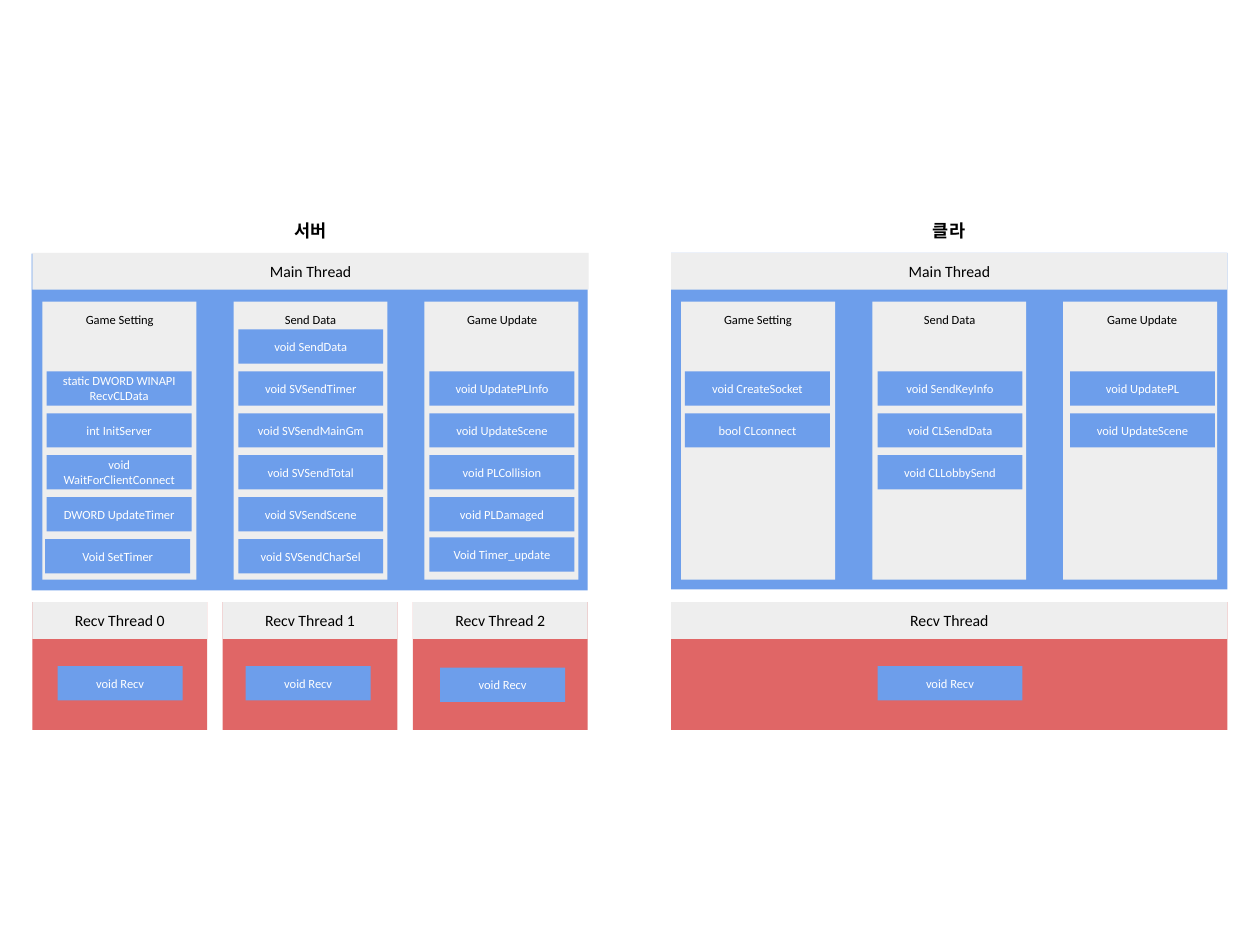
"""Draws the thread layout of a game server and its client."""
from dataclasses import dataclass
from pptx import Presentation, util as u
from pptx.dml.color import RGBColor
from pptx.enum import shapes, text


@dataclass
class Theme:
    font: str = "Calibri"
    blue: str = "6D9EEB"
    red: str = "E06666"
    gray: str = "EEEEEE"
    black: str = "000000"
    white: str = "FFFFFF"
    title: float = 14
    head: float = 12.6
    body: float = 10
    wide: float = 10.08
    slim: float = 7.2


@dataclass
class Board:
    slide: object
    theme: Theme

    def words(self, shape, copy, size, color, pad, bold=False):
        frame = shape.text_frame
        form = {"word_wrap": True, "vertical_anchor": text.MSO_ANCHOR.MIDDLE}
        for side in ("left", "right", "top", "bottom"):
            form["margin_" + side] = u.Pt(pad)
        for key, value in form.items():
            setattr(frame, key, value)
        line = frame.paragraphs[0]
        line.alignment = text.PP_ALIGN.CENTER
        run = line.add_run()
        run.text = copy
        for key, value in {"name": self.theme.font, "size": u.Pt(size), "bold": bold}.items():
            setattr(run.font, key, value)
        run.font.color.rgb = RGBColor.from_string(color)

    def box(self, area, fill):
        shape = self.slide.shapes.add_shape(shapes.MSO_SHAPE.RECTANGLE, *map(u.Pt, area))
        shape.shadow.inherit = False
        shape.fill.solid()
        shape.fill.fore_color.rgb = RGBColor.from_string(fill)
        shape.line.fill.background()
        return shape

    def label(self, area, name, size, pad, bold=False):
        shape = self.slide.shapes.add_textbox(*map(u.Pt, area))
        self.words(shape, name, size, self.theme.black, pad, bold)

    def head(self, area, name):
        t = self.theme
        self.words(self.box(area, t.gray), name, t.head, t.black, t.wide)

    def call(self, area, name):
        t = self.theme
        self.words(self.box(area, t.blue), name, t.body, t.white, t.slim)

    def recv(self, left, width, name, spot):
        self.box((left, 481.7, width, 102.2), self.theme.red)
        self.head((left, 481.7, width, 29.5), name)
        self.call(spot, "void Recv")

    def main(self, side):
        t, left = self.theme, side["left"]
        self.label((side["title_x"], 171.4, 58.3, 25.2), side["title"], t.title, t.wide, True)
        self.box((left + side["dx"], 202.3 + side["dy"], 445, 269.3), t.blue)
        self.head((left, 202.3, 445, 29.5), "Main Thread")
        for i, (name, mid, width, col, first, calls) in enumerate(side["cols"]):
            self.box((side["col_x"] + 152.8 * i, 241.2, 123.1, 222.5), t.gray)
            self.label((mid - width / 2, 241.2, width, 28.8), name, t.body, t.slim)
            for row, call in enumerate(calls, first):
                dx, dy = NUDGE.get(call, (0, 0))
                self.call((col + dx, 263.5 + 33.55 * row + dy, 115.9, 27.4), call)


NUDGE = {"Void SetTimer": (-1.2, 0), "Void Timer_update": (0, -1.4)}
SERVER = {
    "title": "서버", "title_x": 219.6, "left": 25.9, "dx": -0.7, "dy": 0.7, "col_x": 34,
    "cols": [
        ("Game Setting", 95.8, 76.3, 37.4, 1,
         ["static DWORD WINAPI RecvCLData", "int InitServer", "void WaitForClientConnect",
          "DWORD UpdateTimer", "Void SetTimer"]),
        ("Send Data", 248.4, 89.3, 190.6, 0,
         ["void SendData", "void SVSendTimer", "void SVSendMainGm", "void SVSendTotal",
          "void SVSendScene", "void SVSendCharSel"]),
        ("Game Update", 401.7, 89.3, 343.6, 1,
         ["void UpdatePLInfo", "void UpdateScene", "void PLCollision", "void PLDamaged",
          "Void Timer_update"])]}
CLIENT = {
    "title": "클라", "title_x": 730.1, "left": 537, "dx": 0, "dy": 0, "col_x": 545,
    "cols": [
        ("Game Setting", 606.3, 76.3, 548, 1, ["void CreateSocket", "bool CLconnect"]),
        ("Send Data", 759.7, 76.3, 702, 1,
         ["void SendKeyInfo", "void CLSendData", "void CLLobbySend"]),
        ("Game Update", 913.7, 89.3, 856, 1, ["void UpdatePL", "void UpdateScene"])]}

deck = Presentation()
deck.slide_width, deck.slide_height = u.Pt(1008), u.Pt(756)
board = Board(deck.slides.add_slide(deck.slide_layouts[6]), Theme())
for side in (SERVER, CLIENT):
    board.main(side)
for i, (x, y) in enumerate([(46, 532.9), (196.4, 532.9), (352, 534.2)]):
    board.recv(25.9 + 152.2 * i, 139.8, f"Recv Thread {i}", (x, y, 100.2, 27.4))
board.recv(537, 445, "Recv Thread", (702, 532.9, 115.9, 27.4))
deck.save("out.pptx")
